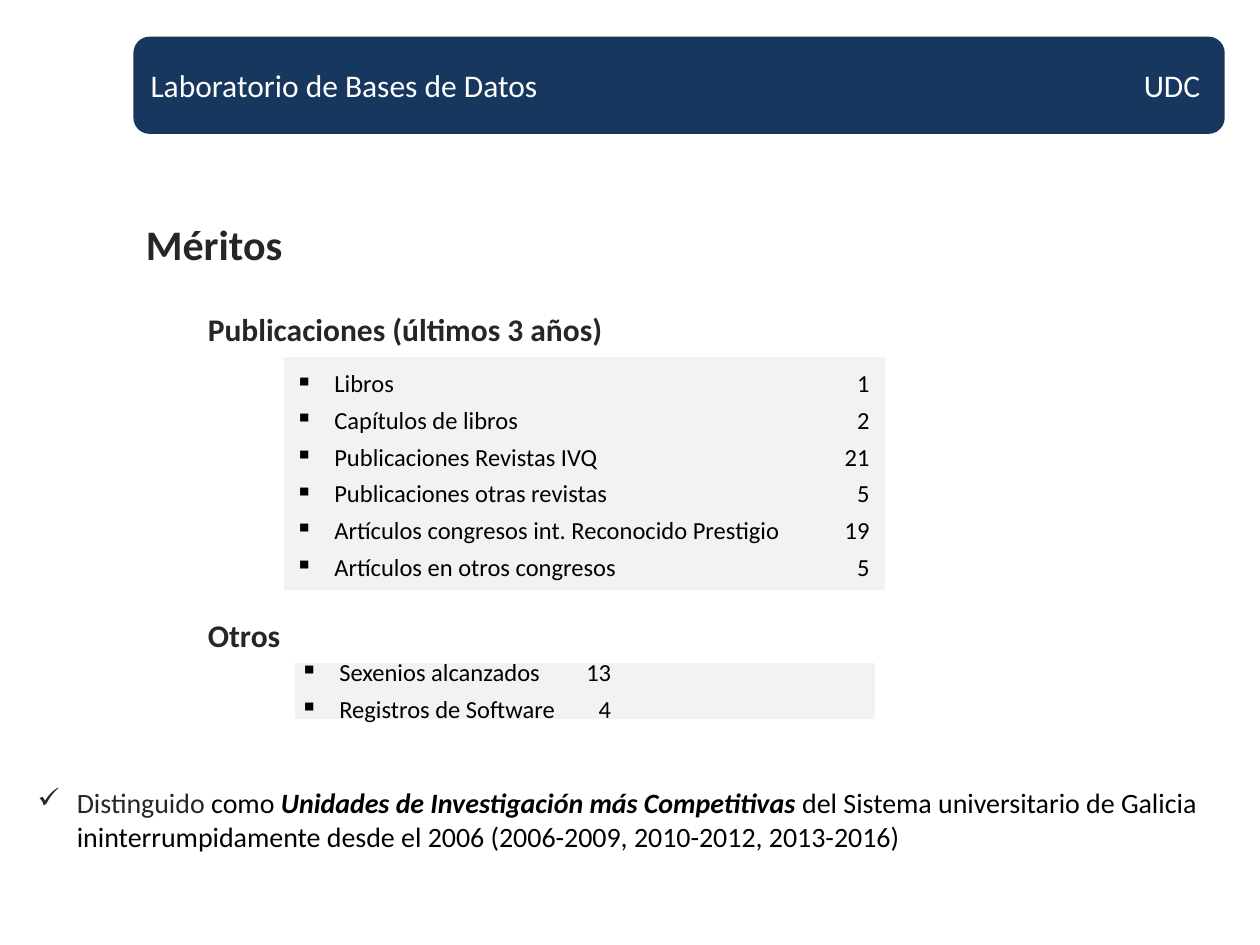
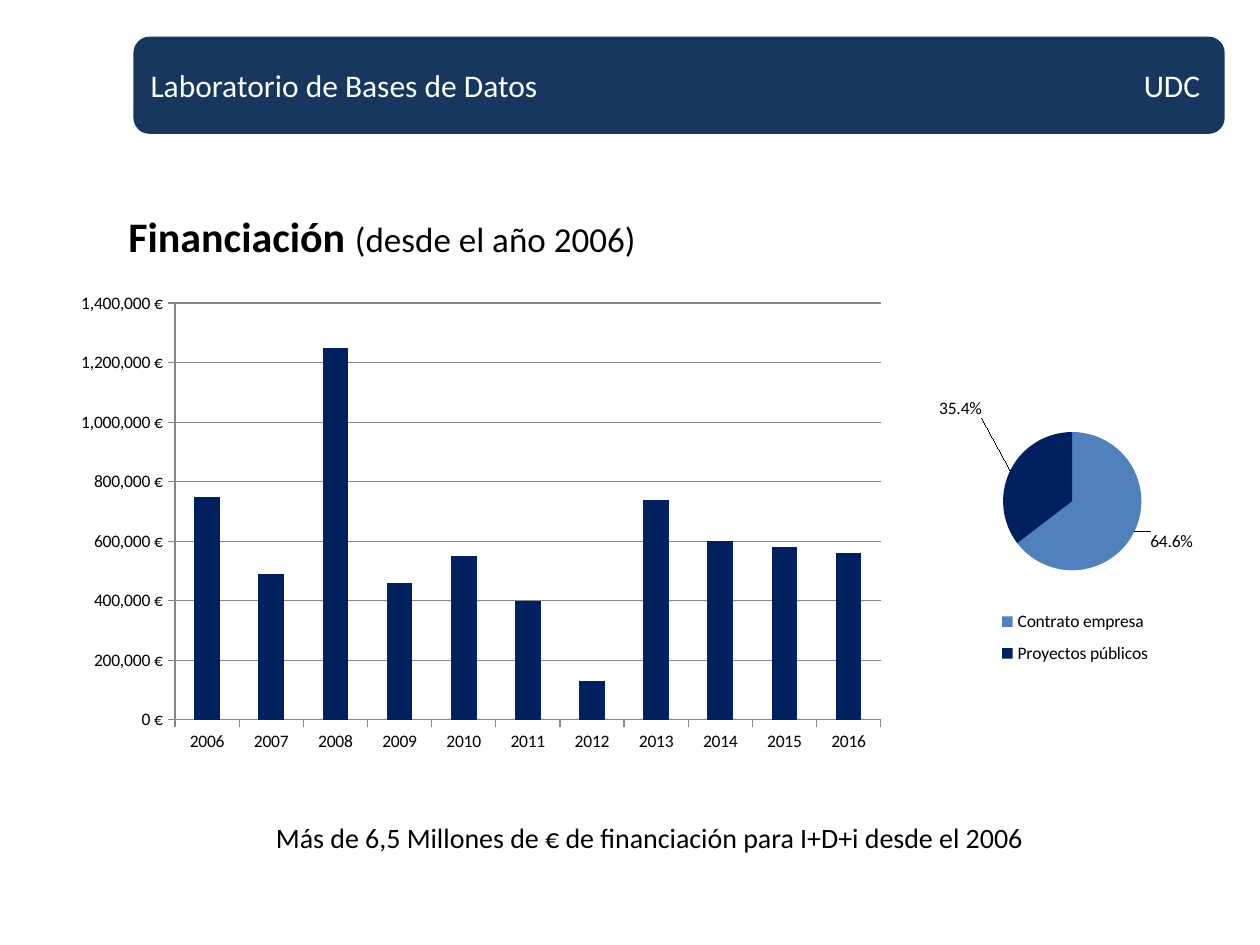
from lxml.etree import SubElement
from pptx import Presentation
from pptx.chart.data import CategoryChartData
from pptx.dml.color import RGBColor
from pptx.enum.chart import XL_CHART_TYPE as CHART, XL_LEGEND_POSITION as LEGEND
from pptx.enum.chart import XL_LABEL_POSITION as LABEL, XL_TICK_MARK as TICK
from pptx.enum.shapes import MSO_SHAPE as SHAPE
from pptx.enum.text import MSO_ANCHOR as ANCHOR, PP_ALIGN as ALIGN
from pptx.oxml import parse_xml
from pptx.oxml.ns import nsdecls, qn
from pptx.util import Cm, Pt

FONT = "Calibri"
NAVY, DEEP_BLUE, MID_BLUE = "17375E", "002060", "4F81BD"
BLACK, DARK, GRID, PANEL, WHITE = "000000", "262626", "878787", "F2F2F2", "FFFFFF"
NO_STYLE = "{2D5ABB26-0587-4C30-8999-92F81FD0307C}"

PUBLICATIONS = [
    ("Libros", 1),
    ("Capítulos de libros", 2),
    ("Publicaciones Revistas IVQ", 21),
    ("Publicaciones otras revistas", 5),
    ("Artículos congresos int. Reconocido Prestigio", 19),
    ("Artículos en otros congresos", 5),
]
OTHERS = [("Sexenios alcanzados", 13), ("Registros de Software", 4)]
FUNDING = {
    2006: 750000, 2007: 490000, 2008: 1250000, 2009: 460000,
    2010: 550000, 2011: 400000, 2012: 130000, 2013: 740000,
    2014: 600000, 2015: 580000, 2016: 560000,
}
# name: (share, colour, label shift as a fraction of the chart)
SOURCES = {
    "Contrato empresa": (0.646, MID_BLUE, (0.03, -0.01)),
    "Proyectos públicos": (0.354, DEEP_BLUE, (-0.07, -0.13)),
}


def rgb(color):
    return RGBColor.from_string(color)


def set_font(font, size, color=BLACK, bold=None):
    font.name, font.size, font.bold = FONT, Pt(size), bold
    font.color.rgb = rgb(color)


def set_bullet(p, char):
    pPr = p._p.get_or_add_pPr()
    pPr.set("marL", str(Cm(0.79)))
    pPr.set("indent", str(-Cm(0.79)))
    pPr.insert(0, parse_xml(f'<a:buChar {nsdecls("a")} char="{char}"/>'))


def add_box(slide, shape, box, fill, line=None):
    sp = slide.shapes.add_shape(shape, *map(Cm, box))
    sp.shadow.inherit = False
    sp.fill.solid()
    sp.fill.fore_color.rgb = rgb(fill)
    if line:
        sp.line.color.rgb = rgb(line)
        sp.line.width = Pt(2)
    else:
        sp.line.fill.background()
    return sp


def add_text(slide, box, text, size, color=BLACK, bold=None, wrap=False):
    tf = slide.shapes.add_textbox(*map(Cm, box)).text_frame
    tf.word_wrap = wrap
    p = tf.paragraphs[0]
    set_font(p.font, size, color, bold)
    if text:
        p.add_run().text = text
    return p


def add_header(slide):
    sp = add_box(slide, SHAPE.ROUNDED_RECTANGLE, (2.69, 0.74, 22, 1.96), NAVY)
    sp.text_frame.vertical_anchor = ANCHOR.MIDDLE
    p = sp.text_frame.paragraphs[0]
    p.text = "Laboratorio de Bases de Datos\tUDC"
    p.alignment = ALIGN.LEFT
    set_font(p.font, 18, WHITE)
    p._p.pPr.insert(0, parse_xml(
        f'<a:tabLst {nsdecls("a")}><a:tab pos="{Cm(21.16)}" algn="r"/></a:tabLst>'))


def add_figures(slide, panel, offset, widths, rows):
    """Grey panel with a borderless table of bulleted names and counts."""
    add_box(slide, SHAPE.RECTANGLE, panel, PANEL, WHITE)
    row_height = 0.74
    box = (panel[0] + offset[0], panel[1] + offset[1], sum(widths), row_height * len(rows))
    table = slide.shapes.add_table(len(rows), 2, *map(Cm, box)).table
    table.first_row = table.horz_banding = False
    table._tbl.tblPr.find(qn("a:tableStyleId")).text = NO_STYLE
    for column, width in zip(table.columns, widths):
        column.width = Cm(width)
    for i, row in enumerate(rows):
        for j, value in enumerate(row):
            cell = table.cell(i, j)
            cell.fill.background()
            cell.vertical_anchor = ANCHOR.BOTTOM
            cell.margin_left = cell.margin_right = Cm(0.18)
            cell.margin_top = cell.margin_bottom = 0
            p = cell.text_frame.paragraphs[0]
            p.text = str(value)
            set_font(p.font, 14)
            if j == 0:
                set_bullet(p, "▪")
            else:
                p.alignment = ALIGN.RIGHT


def add_distinction(slide, box):
    p = add_text(slide, box, "", 16)
    set_bullet(p, "✓")
    r = p.add_run()
    r.text = "Distinguido "
    r.font.color.rgb = rgb(DARK)
    p.add_run().text = "como "
    r = p.add_run()
    r.text = "Unidades de Investigación más Competitivas "
    r.font.bold = r.font.italic = True
    p.add_run().text = "del Sistema universitario de Galicia"
    p.add_line_break()
    p.add_run().text = "ininterrumpidamente desde el 2006 (2006-2009, 2010-2012, 2013-2016)"


def add_chart(slide, kind, box, names, values, number_format):
    data = CategoryChartData(number_format=number_format)
    data.categories = names
    data.add_series("Series 1", values)
    chart = slide.shapes.add_chart(kind, *map(Cm, box), data).chart
    set_font(chart.font, 10)
    chart.has_title = chart.has_legend = False
    return chart


def set_layout(parent, index, **values):
    """Insert a manual layout as the given child of a chart element."""
    layout = parse_xml(f'<c:layout {nsdecls("c")}><c:manualLayout/></c:layout>')
    for tag, value in values.items():
        SubElement(layout[0], qn(f"c:{tag}")).set("val", str(value))
    for old in parent.findall(qn("c:layout")):
        parent.remove(old)
    parent.insert(index, layout)


def add_funding_chart(slide, box):
    number_format = '#,##0\\ "€"'
    chart = add_chart(slide, CHART.COLUMN_CLUSTERED, box,
                      [str(year) for year in FUNDING], FUNDING.values(), number_format)
    plot = chart.plots[0]
    plot.gap_width = 150
    plot.vary_by_categories = False
    fill = plot.series[0].format.fill
    fill.solid()
    fill.fore_color.rgb = rgb(DEEP_BLUE)
    values = chart.value_axis
    values.minimum_scale, values.maximum_scale, values.major_unit = 0, 1400000, 200000
    values.tick_labels.number_format = number_format
    values.tick_labels.number_format_is_linked = False
    values.has_major_gridlines = True
    for axis in (chart.category_axis, values):
        axis.major_tick_mark = TICK.OUTSIDE
        axis.format.line.color.rgb = rgb(GRID)
    values.major_gridlines.format.line.color.rgb = rgb(GRID)


def add_sources_chart(slide, box):
    shares = [share for share, *_ in SOURCES.values()]
    chart = add_chart(slide, CHART.PIE, box, SOURCES, shares, "0.0%")
    chart.has_legend = True
    chart.legend.position = LEGEND.RIGHT
    chart.legend.include_in_layout = False
    manual = dict(xMode="edge", yMode="edge")
    set_layout(chart.legend._element, 1, **manual, x=0.23, y=0.65, w=0.55, h=0.2)
    set_layout(chart._chartSpace.chart.plotArea, 0, layoutTarget="inner", **manual,
               x=0.275, y=0.206, w=0.443, h=0.366)
    chart.plots[0].vary_by_categories = True
    series = chart.plots[0].series[0]
    labels = series.data_labels
    labels.show_value = True
    labels.number_format, labels.number_format_is_linked = "0.0%", False
    for i, (_, color, (dx, dy)) in enumerate(SOURCES.values()):
        point = series.points[i]
        point.format.fill.solid()
        point.format.fill.fore_color.rgb = rgb(color)
        point.data_label.position = LABEL.OUTSIDE_END
        set_layout(labels._element.findall(qn("c:dLbl"))[i], 1, x=dx, y=dy)


def build_merits(slide):
    add_header(slide)
    add_text(slide, (2.69, 4.29, 3.3, 1.27), "Méritos", 24, DARK, True)
    add_text(slide, (3.94, 6.12, 8.53, 1.02), "Publicaciones (últimos 3 años)", 18, DARK, True)
    add_figures(slide, (5.69, 7.16, 12.19, 4.78), (0.08, 0.15), (10.62, 1.32), PUBLICATIONS)
    add_text(slide, (3.94, 12.29, 1.98, 1.02), "Otros", 18, DARK, True)
    add_figures(slide, (5.92, 13.34, 11.76, 1.19), (-0.05, -0.21), (5.64, 0.99), OTHERS)
    add_distinction(slide, (0.51, 15.72, 24.18, 1.63))


def build_funding(slide):
    add_header(slide)
    p = add_text(slide, (2.34, 4.11, 10.82, 1.27), "Financiación ", 24, bold=True)
    r = p.add_run()
    r.text = "(desde el año 2006)"
    r.font.size, r.font.bold = Pt(20), False
    p = add_text(slide, (3.1, 16.41, 19.99, 0.94),
                 "Más de 6,5 Millones de € de financiación para I+D+i desde el 2006", 16, wrap=True)
    p.alignment = ALIGN.CENTER
    add_funding_chart(slide, (1.3, 5.72, 16.79, 9.63))
    add_sources_chart(slide, (18.49, 7.14, 6.3, 7.62))


def main():
    prs = Presentation()
    prs.slide_width, prs.slide_height = Cm(25.4), Cm(19.05)
    for build in (build_merits, build_funding):
        build(prs.slides.add_slide(prs.slide_layouts[6]))
    prs.save("out.pptx")


if __name__ == "__main__":
    main()
